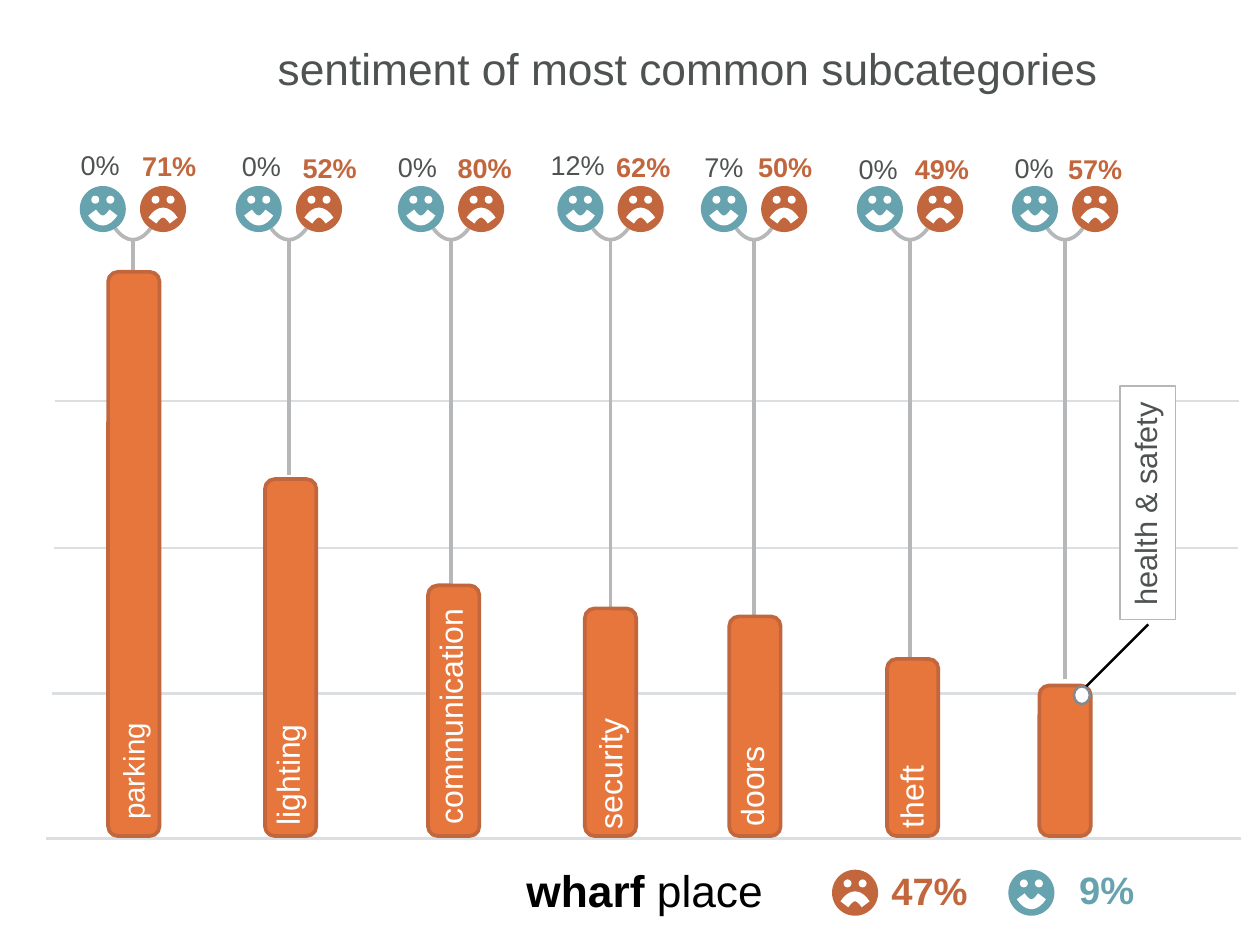
from pptx import Presentation
from pptx.dml.color import RGBColor
from pptx.enum.shapes import MSO_CONNECTOR, MSO_SHAPE
from pptx.enum.text import MSO_ANCHOR, MSO_AUTO_SIZE, PP_ALIGN
from pptx.oxml.ns import qn
from pptx.util import Inches, Pt
from lxml.etree import SubElement

WHITE = RGBColor(0xFF, 0xFF, 0xFF)
BLACK = RGBColor(0x00, 0x00, 0x00)
ORANGE = RGBColor(0xE6, 0x76, 0x3C)
RUST = RGBColor(0xC2, 0x66, 0x3D)
TEAL = RGBColor(0x67, 0xA3, 0xAF)
INK = RGBColor(0x4E, 0x53, 0x51)
GRID_GREY = RGBColor(0xDB, 0xDF, 0xE2)
STEM_GREY = RGBColor(0xB6, 0xB7, 0xB9)
DOT_GREY = RGBColor(0x85, 0x88, 0x8D)

# Columns and rows of a one-inch grid
COLUMNS, ROWS = 14.22, 10.67
FACE_ROW, FACE_SIZE, FACE_GAP = 2.1, 0.52, 0.68
STEM_TOP, BASE, BAR_WIDTH = 2.72, 9.44, 0.58
PERCENT_WIDTH, PERCENT_HEIGHT = 0.82, 0.52

# Name, name centre, name length, name size, bar left, bar top, stem, stem end
bars = [
    ("parking", (1.5, 8.71), 1.25, 24, 1.22, 3.07, 1.5, 3.05),
    ("lighting", (3.24, 8.75), 1.31, 26, 2.99, 5.41, 3.26, 5.36),
    ("communication", (5.08, 8.09), 2.59, 26, 4.83, 6.61, 5.09, 6.62),
    ("security", (6.88, 8.74), 1.39, 26, 6.6, 6.87, 6.89, 7.01),
    ("doors", (8.48, 8.88), 1.05, 26, 8.23, 6.96, 8.51, 7.01),
    ("theft", (10.28, 9), 0.83, 26, 10.01, 7.44, 10.27, 7.53),
    ("health & safety", (12.92, 5.69), 2.42, 25, 11.73, 7.74, 12.02, 7.67),
]
# Happy share with its centre and top, then unhappy share likewise
percents = [
    ("0%", 1.13, 1.6, "71%", 1.91, 1.61),
    ("0%", 2.95, 1.61, "52%", 3.72, 1.63),
    ("0%", 4.71, 1.62, "80%", 5.47, 1.63),
    ("12%", 6.52, 1.6, "62%", 7.26, 1.62),
    ("7%", 8.17, 1.62, "50%", 8.86, 1.62),
    ("0%", 9.91, 1.64, "49%", 10.63, 1.64),
    ("0%", 11.67, 1.63, "57%", 12.36, 1.64),
]


def add_line(start, end, color, width):
    line = slide.shapes.add_connector(
        MSO_CONNECTOR.STRAIGHT, *[Inches(v) for v in (*start, *end)])
    line.line.color.rgb = color
    line.line.width = Pt(width)
    SubElement(line._element.spPr, qn("a:effectLst"))


def add_curve(shapes, controls, color, width):
    """Draw one cubic curve, boxed by its ends and its middle."""
    start, bend, unbend, end = [[Inches(v) for v in point] for point in controls]
    middle = [round((a + 3 * b + 3 * c + d) / 8)
              for a, b, c, d in zip(start, bend, unbend, end)]
    builder = shapes.build_freeform(*start, scale=1.0)
    builder.add_line_segments([middle, end], close=False)
    curve = builder.convert_to_shape()
    outline = next(curve._element.iter(qn("a:moveTo"))).getparent()
    for segment in outline.findall(qn("a:lnTo")):
        outline.remove(segment)
    cubic = SubElement(outline, qn("a:cubicBezTo"))
    for x, y in (bend, unbend, end):
        SubElement(cubic, qn("a:pt"), x=str(x - curve.left), y=str(y - curve.top))
    curve.fill.background()
    curve.line.color.rgb = color
    curve.line.width = Pt(width)
    curve.shadow.inherit = False


prs = Presentation()
prs.slide_width, prs.slide_height = Inches(COLUMNS), Inches(ROWS)
slide = prs.slides.add_slide(prs.slide_layouts[5])

# Title
title = slide.shapes.title
title.left, title.top = Inches(1.69), Inches(-0.42)
title.width, title.height = Inches(12.14), Inches(2.36)
title.text_frame.text = "sentiment of most common subcategories"
title.text_frame.vertical_anchor = MSO_ANCHOR.MIDDLE
title.text_frame.auto_size = MSO_AUTO_SIZE.NONE
heading = title.text_frame.paragraphs[0]
heading.alignment = PP_ALIGN.CENTER
heading.font.name, heading.font.size = "Arial", Pt(36)
heading.font.color.rgb = INK

# Gridlines and baseline
for left, right, row in [(0.62, 13.98, 4.53), (0.61, 13.97, 6.19),
                         (0.59, 13.95, 7.83), (0.52, 14.01, 9.47)]:
    add_line((left, row), (right, row), GRID_GREY, 2)

# Bars with stems and the arcs that join each pair of faces
faces = [(9.39, 9.82, False), (11.38, 9.82, True)]
for name, centre, length, size, left, top, stem, stem_end in bars:
    add_line((stem, stem_end), (stem, STEM_TOP), STEM_GREY, 3)
    add_curve(slide.shapes, [(stem + 0.2, 2.58), (stem + 0.07, 2.75),
                             (stem - 0.07, 2.75), (stem - 0.2, 2.58)], STEM_GREY, 3)
    bar = slide.shapes.add_shape(
        MSO_SHAPE.ROUNDED_RECTANGLE,
        *[Inches(v) for v in (left, top, BAR_WIDTH, BASE - top)])
    bar.adjustments[0] = 0.19
    bar.fill.solid()
    bar.fill.fore_color.rgb = ORANGE
    bar.line.color.rgb = RUST
    bar.line.width = Pt(3)
    bar.shadow.inherit = False
    face_left = stem - (FACE_GAP + FACE_SIZE) / 2
    faces += [(face_left, FACE_ROW, True), (face_left + FACE_GAP, FACE_ROW, False)]

# Faces
for left, top, happy in faces:
    face = slide.shapes.add_group_shape()
    ends, bend = (0.3, 0.42) if happy else (0.39, 0.27)
    mouth = [(0.38, ends), (0.3, bend), (0.22, bend), (0.14, ends)]
    for dx, dy, size, color in [(0, 0, FACE_SIZE, TEAL if happy else RUST),
                                (0.13, 0.11, 0.09, WHITE), (0.3, 0.11, 0.09, WHITE)]:
        disc = face.shapes.add_shape(
            MSO_SHAPE.OVAL, *[Inches(v) for v in (left + dx, top + dy, size, size)])
        disc.fill.solid()
        disc.fill.fore_color.rgb = color
        disc.line.fill.background()
        disc.shadow.inherit = False
    add_curve(face.shapes, [(left + x, top + y) for x, y in mouth], WHITE, 8)

# Callout for the last bar
add_line((12.23, 7.78), (12.96, 7.05), BLACK, 2)
for kind, box, color, width in [
        (MSO_SHAPE.RECTANGLE, (12.64, 4.36, 0.63, 2.64), STEM_GREY, 1),
        (MSO_SHAPE.OVAL, (12.12, 7.75, 0.18, 0.2), DOT_GREY, 2)]:
    marker = slide.shapes.add_shape(kind, *[Inches(v) for v in box])
    marker.fill.solid()
    marker.fill.fore_color.rgb = WHITE
    marker.line.color.rgb = color
    marker.line.width = Pt(width)
    marker.shadow.inherit = False

# Labels: bold part, plain part, box, size, colour, rotation
labels = [
    ("wharf", " place", (5.85, 9.69, 2.85, 0.71), 36, BLACK, 0),
    ("47%", "", (9.9, 9.75, 1.18, 0.61), 31, RUST, 0),
    ("9%", "", (11.9, 9.74, 1.18, 0.61), 31, TEAL, 0),
]
for name, (x, y), length, size, *_ in bars:
    color = INK if name == "health & safety" else WHITE
    labels.append(("", name, (x - length / 2, y - 0.27, length, 0.54), size, color, 270))
for happy, happy_x, happy_top, unhappy, unhappy_x, unhappy_top in percents:
    for bold, plain, x, top, color in [("", happy, happy_x, happy_top, INK),
                                       (unhappy, "", unhappy_x, unhappy_top, RUST)]:
        box = (x - PERCENT_WIDTH / 2, top, PERCENT_WIDTH, PERCENT_HEIGHT)
        labels.append((bold, plain, box, 22, color, 0))

for bold, plain, box, size, color, rotation in labels:
    label = slide.shapes.add_textbox(*[Inches(v) for v in box])
    label.rotation = rotation
    frame = label.text_frame
    frame.word_wrap = False
    frame.vertical_anchor = MSO_ANCHOR.MIDDLE
    frame.margin_left = frame.margin_right = Inches(0.06)
    frame.margin_top = frame.margin_bottom = Inches(0.06)
    paragraph = frame.paragraphs[0]
    paragraph.alignment = PP_ALIGN.CENTER
    paragraph.font.name, paragraph.font.size = "Arial", Pt(size)
    paragraph.font.color.rgb = color
    for part, is_bold in [(bold, True), (plain, False)]:
        if part:
            run = paragraph.add_run()
            run.text = part
            run.font.bold = is_bold

prs.save("out.pptx")
